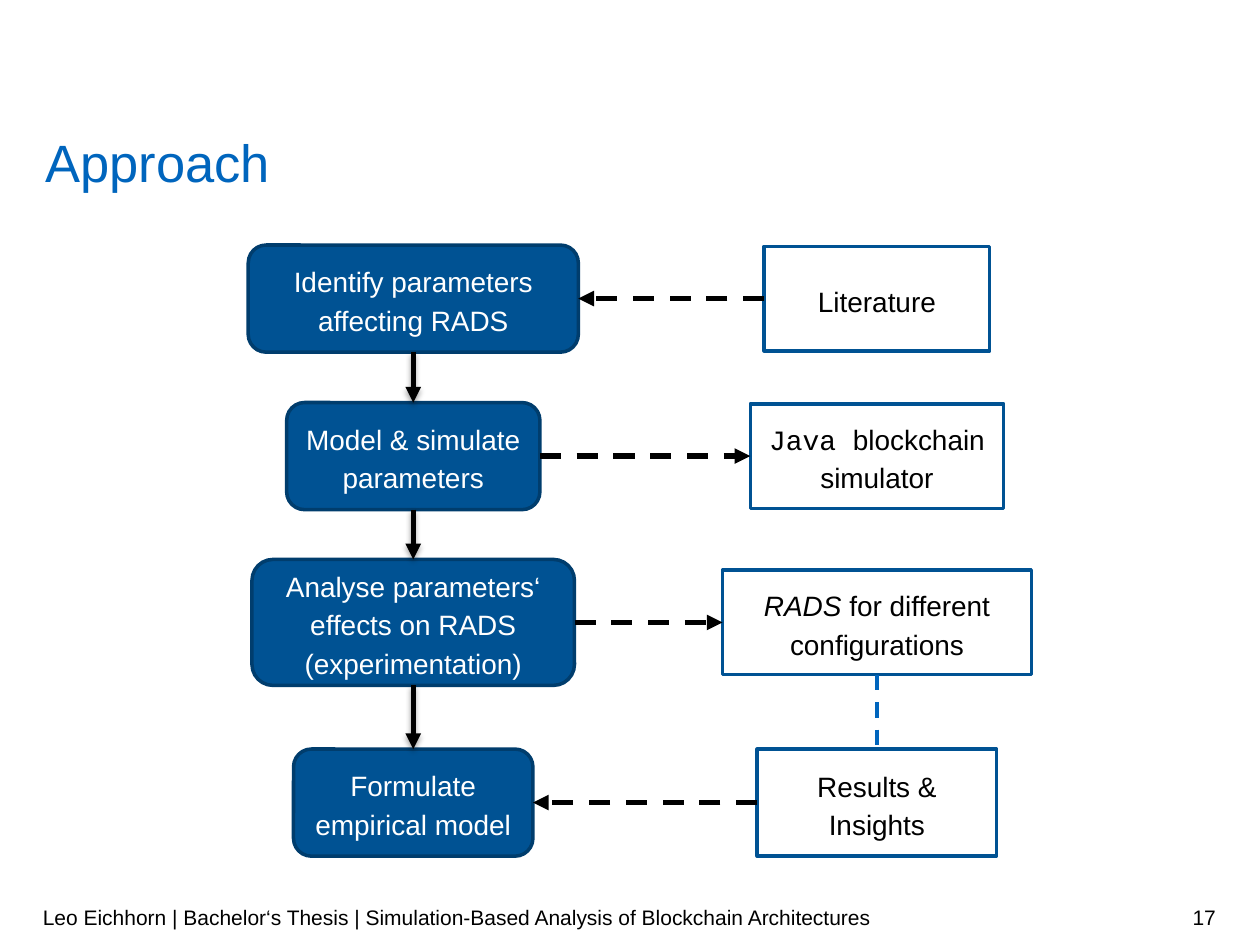
"""Build the approach slide: four steps linked to their sources and outcomes."""
from lxml.etree import SubElement as Sub
from pptx import Presentation
from pptx.dml.color import RGBColor as RGB
from pptx.enum.dml import MSO_LINE as Dash
from pptx.enum.shapes import MSO_CONNECTOR as Conn, MSO_SHAPE as Kind
from pptx.enum.text import MSO_ANCHOR as Anchor, PP_ALIGN as Align
from pptx.oxml.ns import qn
from pptx.util import Inches, Pt

COLORS = {"step": "005293", "edge": "003D6D", "blue": "0065BD",
          "white": "FFFFFF", "black": "000000"}
SANS, MONO = "Arial", "Courier New"
TOP, LEFT, BOTTOM, RIGHT = range(4)
STEP_X, NOTE_X = 3.28, 6.96

TITLE = "Approach"
FOOTER = "Leo Eichhorn | Bachelor‘s Thesis | Simulation-Based Analysis of Blockchain Architectures"
NUMBER = "17"

# Each row: middle, step (width, height, runs), note (width, height, runs), arrow to note
ROWS = [
    (2.37, (2.62, 0.85, [("Identify parameters affecting RADS", SANS, False)]),
     (1.79, 0.83, [("Literature", SANS, False)]), False),
    (3.62, (2.01, 0.85, [("Model & simulate parameters", SANS, False)]),
     (2.01, 0.83, [("Java ", MONO, False), ("blockchain simulator", SANS, False)]), True),
    (4.94, (2.56, 1, [("Analyse parameters‘ effects on RADS (experimentation)", SANS, False)]),
     (2.45, 0.83, [("RADS ", SANS, True), ("for different configurations", SANS, False)]), True),
    (6.37, (1.9, 0.85, [("Formulate empirical model", SANS, False)]),
     (1.9, 0.85, [("Results & Insights", SANS, False)]), False),
]


def rgb(name):
    return RGB.from_string(COLORS[name])


def add_run(para, text, size, color, face=SANS, slant=False):
    run = para.add_run()
    run.text = text
    font = run.font
    font.name, font.size, font.italic = face, Pt(size), slant
    font.color.rgb = rgb(color)


def add_text(slide, spot, text, size, color, pad=0.05, align=Align.LEFT,
             anchor=Anchor.MIDDLE, space=None):
    frame = slide.shapes.add_textbox(*map(Inches, spot)).text_frame
    frame.word_wrap, frame.vertical_anchor = True, anchor
    frame.margin_left = frame.margin_right = 0
    frame.margin_top = frame.margin_bottom = Inches(pad)
    para = frame.paragraphs[0]
    para.alignment, para.line_spacing = align, space
    add_run(para, text, size, color)


def add_box(slide, kind, mid_x, mid_y, item, fill, edge, ink):
    wide, high, runs = item
    spot = (mid_x - wide / 2, mid_y - high / 2, wide, high)
    box = slide.shapes.add_shape(kind, *map(Inches, spot))
    box.shadow.inherit = False
    box.fill.solid()
    box.fill.fore_color.rgb = rgb(fill)
    box.line.color.rgb = rgb(edge)
    box.line.width = Pt(2)
    frame = box.text_frame
    frame.word_wrap, frame.vertical_anchor = True, Anchor.MIDDLE
    para = frame.paragraphs[0]
    para.alignment, para.line_spacing = Align.CENTER, 1.14
    for text, face, slant in runs:
        add_run(para, text, 16, ink, face, slant)
    return box


def link(slide, start, out, end, into, color="black", width=3,
         dash=True, arrow=True, shade=False):
    line = slide.shapes.add_connector(Conn.STRAIGHT, 0, 0, 0, 0)
    line.begin_connect(start, out)
    line.end_connect(end, into)
    line.line.color.rgb = rgb(color)
    line.line.width = Pt(width)
    if dash:
        line.line.dash_style = Dash.DASH
    if arrow:
        Sub(line.line._get_or_add_ln(), qn("a:tailEnd"), type="triangle")
    effect = Sub(line._element.spPr, qn("a:effectLst"))
    if shade:
        cast = Sub(effect, qn("a:outerShdw"), blurRad=str(Pt(3.1)),
                   dist=str(Pt(1.8)), dir="5400000", rotWithShape="0")
        tone = Sub(cast, qn("a:srgbClr"), val=COLORS["black"])
        Sub(tone, qn("a:alpha"), val="35000")


def main():
    deck = Presentation()
    deck.slide_width, deck.slide_height = Inches(10), Inches(7.5)
    slide = deck.slides.add_slide(deck.slide_layouts[6])

    add_text(slide, (7.41, 7.08, 2.24, 0.4), NUMBER, 12, "black", align=Align.RIGHT)
    add_text(slide, (0.34, 7.08, 7.07, 0.4), FOOTER, 12, "black")
    add_text(slide, (0.36, 1.09, 9.31, 0.44), TITLE, 30, "blue", pad=0,
             anchor=Anchor.TOP, space=Pt(32))

    steps, notes = [], []
    for mid, step, note, _ in ROWS:
        steps.append(add_box(slide, Kind.ROUNDED_RECTANGLE, STEP_X, mid, step,
                             "step", "edge", "white"))
        notes.append(add_box(slide, Kind.RECTANGLE, NOTE_X, mid, note,
                             "white", "step", "black"))

    for step, note, row in zip(steps, notes, ROWS):
        ends = [(step, RIGHT), (note, LEFT)]
        first, last = ends if row[3] else ends[::-1]
        link(slide, *first, *last)
    for upper, lower in zip(steps, steps[1:]):
        link(slide, upper, BOTTOM, lower, TOP, dash=False, shade=True)
    link(slide, notes[2], BOTTOM, notes[3], TOP, "blue", 2.25, arrow=False)

    deck.save("out.pptx")


if __name__ == "__main__":
    main()
